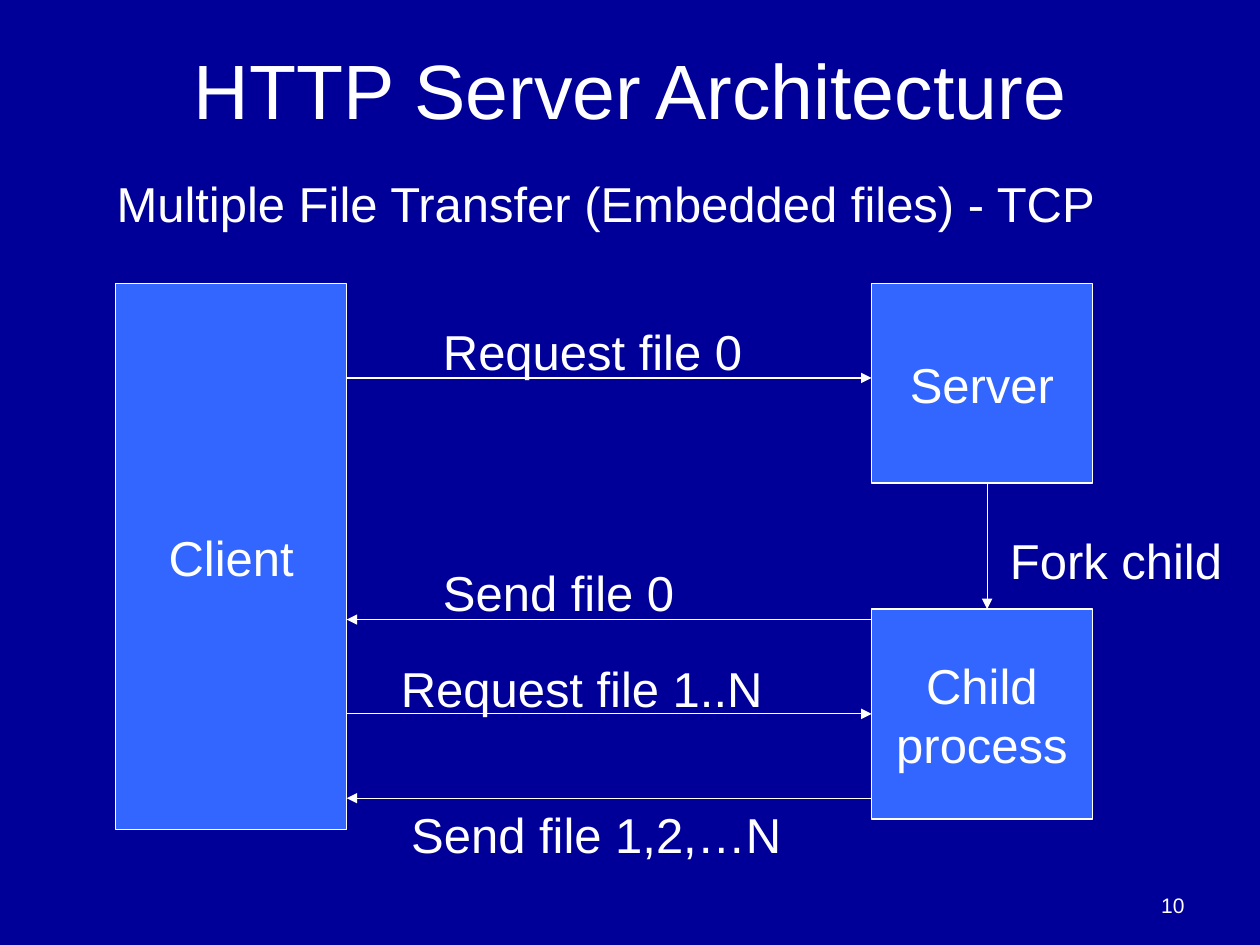
from dataclasses import dataclass

from lxml import etree
from pptx import Presentation
from pptx.dml.color import RGBColor
from pptx.enum.shapes import MSO_CONNECTOR, MSO_SHAPE
from pptx.enum.text import MSO_ANCHOR, PP_ALIGN
from pptx.oxml.ns import qn
from pptx.util import Cm, Pt

LEFT, MID, RIGHT = PP_ALIGN.LEFT, PP_ALIGN.CENTER, PP_ALIGN.RIGHT
TOP, CENTER, BOTTOM = MSO_ANCHOR.TOP, MSO_ANCHOR.MIDDLE, MSO_ANCHOR.BOTTOM
RECT, STRAIGHT = MSO_SHAPE.RECTANGLE, MSO_CONNECTOR.STRAIGHT


@dataclass(frozen=True)
class Theme:
    back: RGBColor = RGBColor(0x00, 0x00, 0x99)
    box: RGBColor = RGBColor(0x33, 0x66, 0xFF)
    ink: RGBColor = RGBColor(0xFF, 0xFF, 0xFF)
    font: str = "Arial"
    title: int = 44
    body: int = 28
    small: int = 12
    line: float = 0.75


THEME = Theme()
LABEL_H = 1.45

# Text, points right, arrow's drop, label's shift and rise from the arrow
MESSAGES = [
    ("Request file 0", True, 1.9, 1.69, -1.27, 7.42),
    ("Send file 0", False, 6.77, 1.69, -1.27, 7.62),
    ("Request file 1..N", True, 8.67, 0.84, -1.23, 9.33),
    ("Send file 1,2,…N", False, 10.37, 1.05, 0, 9.74),
]


def style(run, size):
    run.font.name = THEME.font
    run.font.size = Pt(size)
    run.font.color.rgb = THEME.ink


def write(frame, text, size, align, anchor):
    frame.text = text
    frame.vertical_anchor = anchor
    for para in frame.paragraphs:
        para.alignment = align
        for run in para.runs:
            style(run, size)


def add_text(slide, box, text, size=THEME.body, align=LEFT, anchor=TOP):
    frame = slide.shapes.add_textbox(*map(Cm, box)).text_frame
    frame.word_wrap = True
    write(frame, text, size, align, anchor)
    return frame


def add_node(slide, box, text):
    node = slide.shapes.add_shape(RECT, *map(Cm, box))
    node.shadow.inherit = False
    node.fill.solid()
    node.fill.fore_color.rgb = THEME.box
    node.line.color.rgb = THEME.ink
    node.line.width = Pt(THEME.line)
    node.text_frame.word_wrap = False
    write(node.text_frame, text, THEME.body, MID, CENTER)


def add_arrow(slide, start, end):
    arrow = slide.shapes.add_connector(STRAIGHT, *map(Cm, (*start, *end)))
    arrow.line.color.rgb = THEME.ink
    arrow.line.width = Pt(THEME.line)
    etree.SubElement(arrow.line._get_or_add_ln(), qn("a:tailEnd"), type="triangle")
    etree.SubElement(arrow._element.spPr, qn("a:effectLst"))


def add_title(slide, box):
    """Heading whose second word gap is set in the body size."""
    frame = add_text(slide, box, "HTTP Server", THEME.title, MID, CENTER)
    for text, size in ((" ", THEME.body), ("Architecture", THEME.title)):
        run = frame.paragraphs[0].add_run()
        run.text = text
        style(run, size)


def add_flow(slide, box):
    """Client at the left, server and child at the right, messages between."""
    x, y, w, h = box
    client_w, side_w = 4.66, 4.45
    server_h, child_y, child_h = 4.02, y + 6.56, 4.23
    near, far = x + client_w, x + w - side_w

    add_node(slide, (x, y, client_w, h), "Client")
    add_node(slide, (far, y, side_w, server_h), "Server")
    add_node(slide, (far, child_y, side_w, child_h), "Child\nprocess")

    for text, right, drop, shift, rise, width in MESSAGES:
        level = y + drop
        ends = [(near, level), (far, level)]
        add_arrow(slide, *(ends if right else ends[::-1]))
        add_text(slide, (near + shift, level + rise, width, LABEL_H), text)

    fork = far + 2.33
    add_arrow(slide, (fork, y + server_h), (fork, child_y))
    add_text(slide, (fork + 0.21, y + 4.86, 5.29, LABEL_H), "Fork child")


def main():
    deck = Presentation()
    deck.slide_width, deck.slide_height = Cm(25.4), Cm(19.05)
    slide = deck.slides.add_slide(deck.slide_layouts[6])
    slide.background.fill.solid()
    slide.background.fill.fore_color.rgb = THEME.back

    add_title(slide, (1.27, 0.2, 22.86, 3.18))
    add_text(slide, (2.1, 3.38, 22, LABEL_H),
             "Multiple File Transfer (Embedded files) - TCP")
    add_flow(slide, (2.33, 5.72, 19.69, 11))
    add_text(slide, (18.2, 17.36, 5.93, 1.27), "10", THEME.small, RIGHT, BOTTOM)
    deck.save("out.pptx")


if __name__ == "__main__":
    main()
